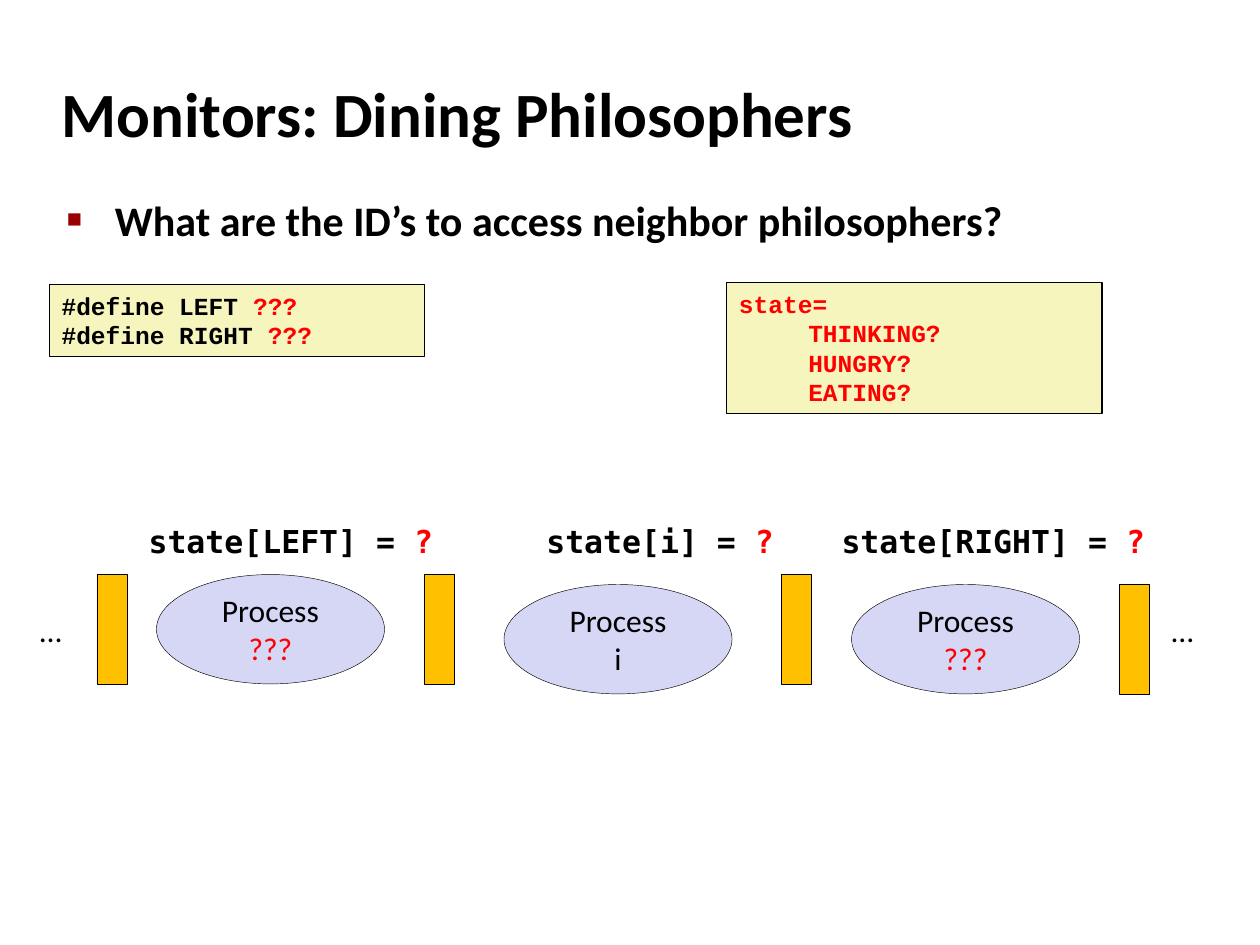
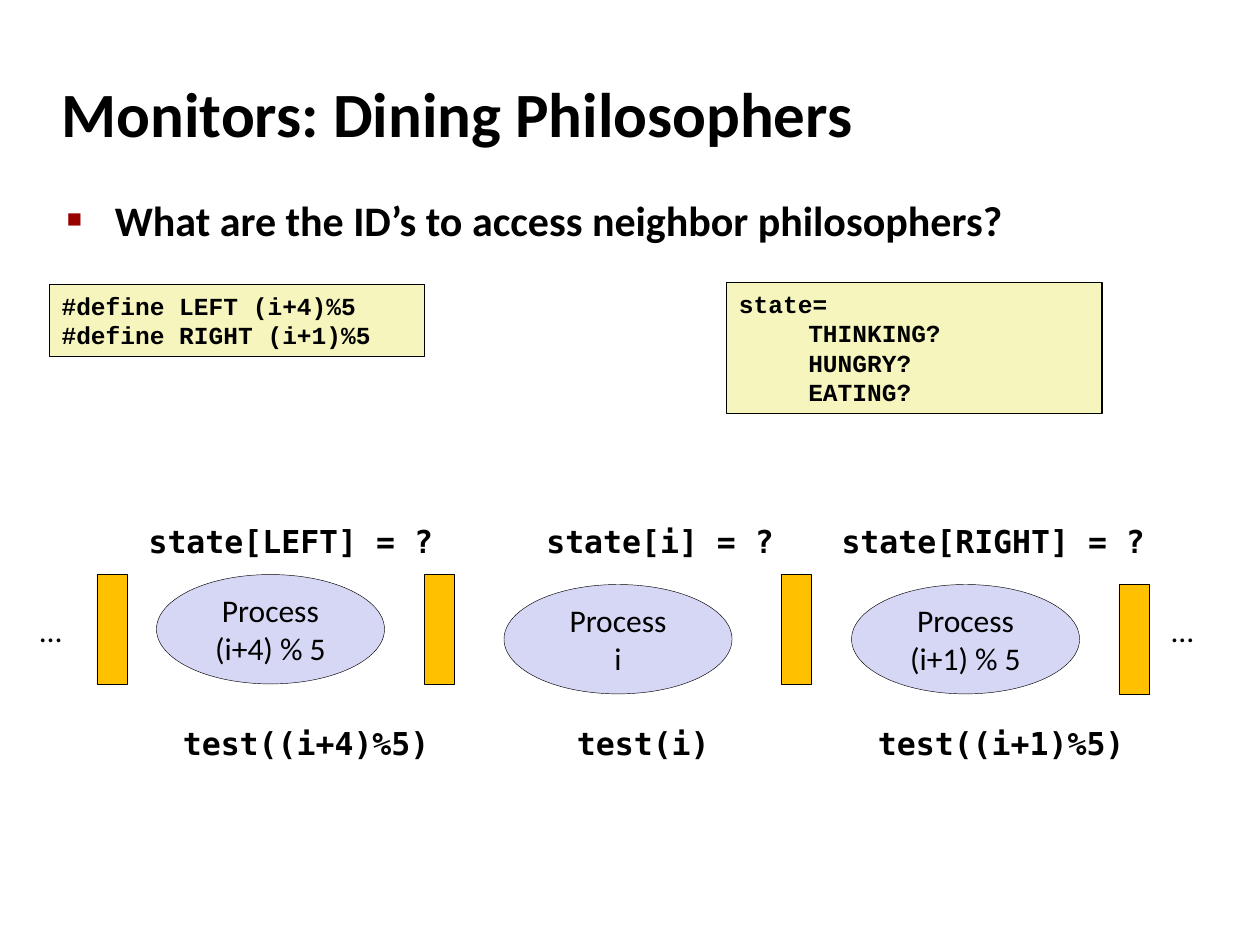
"""Build two slides on neighbour access in the dining philosophers monitor."""
from lxml.etree import SubElement
from pptx import Presentation
from pptx.dml.color import RGBColor
from pptx.enum.shapes import MSO_SHAPE
from pptx.enum.text import MSO_ANCHOR, MSO_AUTO_SIZE, PP_ALIGN
from pptx.oxml.ns import qn
from pptx.util import Pt

BLACK = RGBColor(0x00, 0x00, 0x00)
RED = RGBColor(0xFF, 0x00, 0x00)
DARK_RED = RGBColor(0x99, 0x00, 0x00)
WHITE = RGBColor(0xFF, 0xFF, 0xFF)
CREAM = RGBColor(0xF6, 0xF5, 0xBD)
LAVENDER = RGBColor(0xD6, 0xD6, 0xF5)
AMBER = RGBColor(0xFF, 0xC0, 0x00)
BODY_FONT, CODE_FONT, LABEL_FONT = "Calibri", "Courier New", "DejaVu Sans Mono"

TITLE = "Monitors: Dining Philosophers"
QUESTION = "What are the ID’s to access neighbor philosophers?"
STATES = ["state=", "\tTHINKING?", "\tHUNGRY?", "\tEATING?"]
NEIGHBORS = ["LEFT", "i", "RIGHT"]
SLIDES = [
    {"defines": ["???", "???"], "processes": ["???", "i", "???"],
     "tests": [], "open_color": RED},
    {"defines": ["(i+4)%5", "(i+1)%5"], "processes": ["(i+4) % 5", "i", "(i+1) % 5"],
     "tests": ["test((i+4)%5)", "test(i)", "test((i+1)%5)"], "open_color": BLACK},
]

HIGH_ROW, LOW_ROW = 328.3, 334
PROCESS_LEFT, PROCESS_STEP = 89.4, 198.6
PROCESS_TOPS = [HIGH_ROW, LOW_ROW, LOW_ROW]
PROCESS_WIDTH, ROW_HEIGHT, FORK_WIDTH = 130.3, 62.5, 17.2
FORKS = [(55.4, HIGH_ROW), (242.6, HIGH_ROW), (446.6, HIGH_ROW), (639.4, LOW_ROW)]
STATE_SPANS = [(77.8, 178), (305.1, 145.5), (473.8, 188.5)]
TEST_SPANS = [(97.4, 156), (322.6, 92), (494.6, 156)]
STATE_TOP, TEST_TOP, DOTS_TOP, LABEL_HEIGHT = 294.5, 410, 345.6, 29.5
DOTS_LEFTS, DOTS_WIDTH = [15.8, 662.4], 26.6
DEFINES_BOX = (28.1, 162.7, 214.6, 41)
STATES_BOX = (415.2, 161.5, 214.6, 74.9)
TITLE_BOX = (28.1, 34.3, 597.6, 59.8)
QUESTION_BOX = (31, 107.3, 622, 54)
QUESTION_INDENT, CODE_TAB = 27.4, 39.6


def points(box):
    return [Pt(length) for length in box]


def write(frame, lines, font, size, bold=False, align=PP_ALIGN.LEFT):
    """Fill the frame with lines, each a list of (text, color) pieces."""
    for index, pieces in enumerate(lines):
        paragraph = frame.add_paragraph() if index else frame.paragraphs[0]
        paragraph.alignment = align
        (first, color), *rest = pieces
        paragraph.text = first
        colored = [(run, color) for run in paragraph.runs]
        for text, color in rest:
            run = paragraph.add_run()
            run.text = text
            colored.append((run, color))
        for run, color in colored:
            run.font.name, run.font.size, run.font.bold = font, Pt(size), bold
            run.font.color.rgb = color


def add_figure(slide, preset, box, fill, line_width):
    figure = slide.shapes.add_shape(preset, *points(box))
    figure.shadow.inherit = False
    figure.fill.solid()
    figure.fill.fore_color.rgb = fill
    figure.line.color.rgb = BLACK
    figure.line.width = Pt(line_width)
    return figure


def add_label(slide, box, pieces, font, bold=False):
    frame = slide.shapes.add_textbox(*points(box)).text_frame
    frame.word_wrap = False
    frame.auto_size = MSO_AUTO_SIZE.SHAPE_TO_FIT_TEXT
    write(frame, [pieces], font, 18, bold)


def add_code(slide, box, lines):
    frame = add_figure(slide, MSO_SHAPE.RECTANGLE, box, CREAM, 0.75).text_frame
    frame.vertical_anchor = MSO_ANCHOR.TOP
    frame.word_wrap = True
    frame.auto_size = MSO_AUTO_SIZE.SHAPE_TO_FIT_TEXT
    write(frame, lines, CODE_FONT, 14, True)
    for paragraph in frame.paragraphs:
        if paragraph.text.startswith("\t"):
            tabs = SubElement(paragraph._p.get_or_add_pPr(), qn("a:tabLst"))
            SubElement(tabs, qn("a:tab"), pos=str(Pt(CODE_TAB)), algn="l")


def add_heading(slide):
    """Place the title and the bulleted question in their placeholders."""
    title, question = slide.placeholders
    for holder, box, text, size, anchor in [
        (title, TITLE_BOX, TITLE, 36, MSO_ANCHOR.MIDDLE),
        (question, QUESTION_BOX, QUESTION, 24, MSO_ANCHOR.TOP),
    ]:
        holder.left, holder.top, holder.width, holder.height = points(box)
        frame = holder.text_frame
        frame.auto_size = MSO_AUTO_SIZE.NONE
        frame.vertical_anchor = anchor
        write(frame, [[(text, BLACK)]], BODY_FONT, size, True)
    properties = question.text_frame.paragraphs[0]._p.get_or_add_pPr()
    properties.set("marL", str(Pt(QUESTION_INDENT)))
    properties.set("indent", str(-Pt(QUESTION_INDENT)))
    bullet_color = SubElement(properties, qn("a:buClr"))
    SubElement(bullet_color, qn("a:srgbClr"), val=str(DARK_RED))
    SubElement(properties, qn("a:buSzPct"), val="60000")
    SubElement(properties, qn("a:buChar"), char="■")


def add_philosophers(slide, content):
    """Draw the philosophers, the forks between them and their labels."""
    open_color = content["open_color"]
    for index, (process, top) in enumerate(zip(content["processes"], PROCESS_TOPS)):
        left = PROCESS_LEFT + index * PROCESS_STEP
        box = (left, top, PROCESS_WIDTH, ROW_HEIGHT)
        frame = add_figure(slide, MSO_SHAPE.OVAL, box, LAVENDER, 0.25).text_frame
        frame.vertical_anchor = MSO_ANCHOR.MIDDLE
        frame.word_wrap = False
        color = BLACK if process == "i" else open_color
        write(frame, [[("Process\n", BLACK), (process, color)]], BODY_FONT, 18,
              align=PP_ALIGN.CENTER)
    for left, top in FORKS:
        add_figure(slide, MSO_SHAPE.RECTANGLE, (left, top, FORK_WIDTH, ROW_HEIGHT),
                   AMBER, 0.25)
    for left in DOTS_LEFTS:
        add_label(slide, (left, DOTS_TOP, DOTS_WIDTH, LABEL_HEIGHT),
                  [("…", BLACK)], BODY_FONT)
    for neighbor, (left, width) in zip(NEIGHBORS, STATE_SPANS):
        add_label(slide, (left, STATE_TOP, width, LABEL_HEIGHT),
                  [(f"state[{neighbor}] = ", BLACK), ("?", open_color)], LABEL_FONT, True)
    for test, (left, width) in zip(content["tests"], TEST_SPANS):
        add_label(slide, (left, TEST_TOP, width, LABEL_HEIGHT),
                  [(test, BLACK)], LABEL_FONT, True)


def main():
    deck = Presentation()
    deck.slide_width, deck.slide_height = Pt(720), Pt(540)
    for content in SLIDES:
        slide = deck.slides.add_slide(deck.slide_layouts[1])
        slide.background.fill.solid()
        slide.background.fill.fore_color.rgb = WHITE
        add_heading(slide)
        open_color = content["open_color"]
        add_code(slide, DEFINES_BOX,
                 [[(f"#define {side} ", BLACK), (value, open_color)]
                  for side, value in zip(("LEFT", "RIGHT"), content["defines"])])
        add_philosophers(slide, content)
        add_code(slide, STATES_BOX, [[(state, open_color)] for state in STATES])
    deck.save("out.pptx")


if __name__ == "__main__":
    main()
